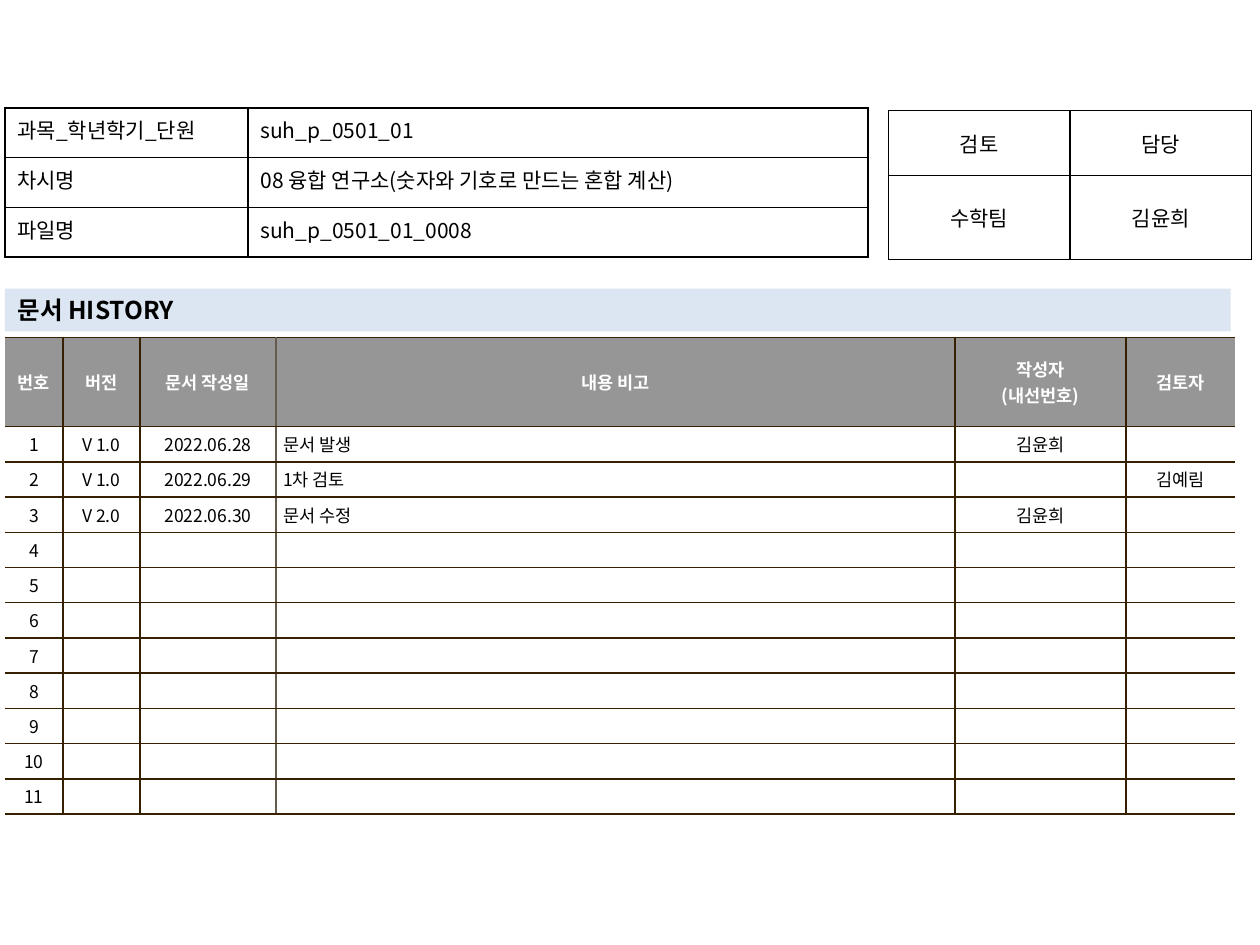
import pptx
import pptx.util
from lxml import etree
from pptx.dml.color import RGBColor
from pptx.enum.text import MSO_ANCHOR, MSO_AUTO_SIZE, PP_ALIGN
from pptx.oxml.ns import qn
from pptx.util import Cm

# Content
FONT = "Noto Sans CJK KR"
BLACK, WHITE, BROWN, TAUPE = "000000", "FFFFFF", "362000", "645B4C"
HEADER_GRAY, TITLE_BLUE = "969696", "DCE6F2"

TITLE = "문서 HISTORY"
LESSON = [
    ("과목_학년학기_단원", "suh_p_0501_01"),
    ("차시명", "08 융합 연구소(숫자와 기호로 만드는 혼합 계산)"),
    ("파일명", "suh_p_0501_01_0008"),
]
APPROVAL = [("검토", "담당"), ("수학팀", "김윤희")]
HISTORY_HEAD = ("번호", "버전", "문서 작성일", "내용 비고", "작성자\n(내선번호)", "검토자")
REVISIONS = [
    ("V 1.0", "2022.06.28", "문서 발생", "김윤희", ""),
    ("V 1.0", "2022.06.29", "1차 검토", "", "김예림"),
    ("V 2.0", "2022.06.30", "문서 수정", "김윤희", ""),
]
HISTORY_ROWS = 11
NOTE_COLUMN = 3


def rgb(color):
    return RGBColor.from_string(color)


def write(frame, text, size=12, color=BLACK, bold=False, align=PP_ALIGN.LEFT):
    frame.text = text
    for paragraph in frame.paragraphs:
        paragraph.alignment = align
        paragraph.font.size = pptx.util.Pt(size)
        for run in paragraph.runs:
            font = run.font
            font.name, font.size, font.bold = FONT, pptx.util.Pt(size), bold
            font.color.rgb = rgb(color)
            etree.SubElement(font._element, qn("a:ea"), typeface=FONT)


def set_borders(cell, left, right, top, bottom):
    """Draw 1 pt lines in the given colours; None hides a side."""
    properties = cell._tc.get_or_add_tcPr()
    for side, color in zip(("lnL", "lnR", "lnT", "lnB"), (left, right, top, bottom)):
        line = etree.SubElement(properties, qn(f"a:{side}"), w="12700")
        if color:
            fill = etree.SubElement(line, qn("a:solidFill"))
            etree.SubElement(fill, qn("a:srgbClr"), val=color)
        else:
            etree.SubElement(line, qn("a:noFill"))


def add_grid(slide, left, top, widths, heights, rows, edges, horizontal, style):
    """edges: colours of the vertical lines; style(row, column): cell format."""
    table = slide.shapes.add_table(
        len(rows), len(widths), Cm(left), Cm(top), Cm(sum(widths)), Cm(sum(heights))
    ).table
    table.first_row = table.horz_banding = False
    for column, width in zip(table.columns, widths):
        column.width = Cm(width)
    for r, (height, values) in enumerate(zip(heights, rows)):
        table.rows[r].height = Cm(height)
        for c, value in enumerate(values):
            cell = table.cell(r, c)
            look = style(r, c)
            set_borders(cell, edges[c], edges[c + 1], horizontal, horizontal)
            if look["fill"]:
                cell.fill.solid()
                cell.fill.fore_color.rgb = rgb(look["fill"])
            else:
                cell.fill.background()
            cell.vertical_anchor = look["anchor"]
            cell.margin_left = cell.margin_right = Cm(look["margins"][0])
            cell.margin_top = cell.margin_bottom = Cm(look["margins"][1])
            write(cell.text_frame, value, **look["text"])


def lesson_style(row, column):
    align = PP_ALIGN.LEFT if column else PP_ALIGN.JUSTIFY
    return dict(fill=None, anchor=MSO_ANCHOR.TOP, margins=(0.25, 0.13), text=dict(align=align))


def approval_style(row, column):
    return dict(fill=None, anchor=MSO_ANCHOR.MIDDLE, margins=(0.25, 0.13),
                text=dict(align=PP_ALIGN.CENTER))


def history_style(row, column):
    head = row == 0
    align = PP_ALIGN.LEFT if column == NOTE_COLUMN and not head else PP_ALIGN.CENTER
    return dict(fill=HEADER_GRAY if head else WHITE, anchor=MSO_ANCHOR.MIDDLE,
                margins=(0.15, 0.1),
                text=dict(size=10, color=WHITE if head else BLACK, bold=head, align=align))


def main():
    deck = pptx.Presentation()
    deck.slide_width, deck.slide_height = Cm(25.4), Cm(19.05)
    slide = deck.slides.add_slide(deck.slide_layouts[5])

    # Section title bar
    title = slide.shapes.title
    title.left, title.top, title.width, title.height = Cm(0.1), Cm(5.82), Cm(24.71), Cm(0.86)
    title.fill.solid()
    title.fill.fore_color.rgb = rgb(TITLE_BLUE)
    title.text_frame.auto_size = MSO_AUTO_SIZE.NONE
    title.text_frame.vertical_anchor = MSO_ANCHOR.MIDDLE
    write(title.text_frame, TITLE, size=14, bold=True)

    # Lesson details and approval
    add_grid(slide, 0.1, 2.18, [4.9, 12.5], [1] * len(LESSON), LESSON,
             [BLACK] * 3, BLACK, lesson_style)
    add_grid(slide, 17.91, 2.23, [3.66] * 2, [1.31, 1.69], APPROVAL,
             [BLACK] * 3, BLACK, approval_style)

    # Revision history, numbered and padded with empty rows
    blanks = [("",) * (len(HISTORY_HEAD) - 1)] * (HISTORY_ROWS - len(REVISIONS))
    numbered = [(str(n), *entry) for n, entry in enumerate(REVISIONS + blanks, 1)]
    add_grid(slide, 0.1, 6.8, [1.17, 1.55, 2.74, 13.69, 3.45, 2.2],
             [1.8] + [0.71] * HISTORY_ROWS, [HISTORY_HEAD] + numbered,
             [None, BROWN, BROWN, TAUPE, BROWN, BROWN, None], BROWN, history_style)

    deck.save("out.pptx")


if __name__ == "__main__":
    main()
